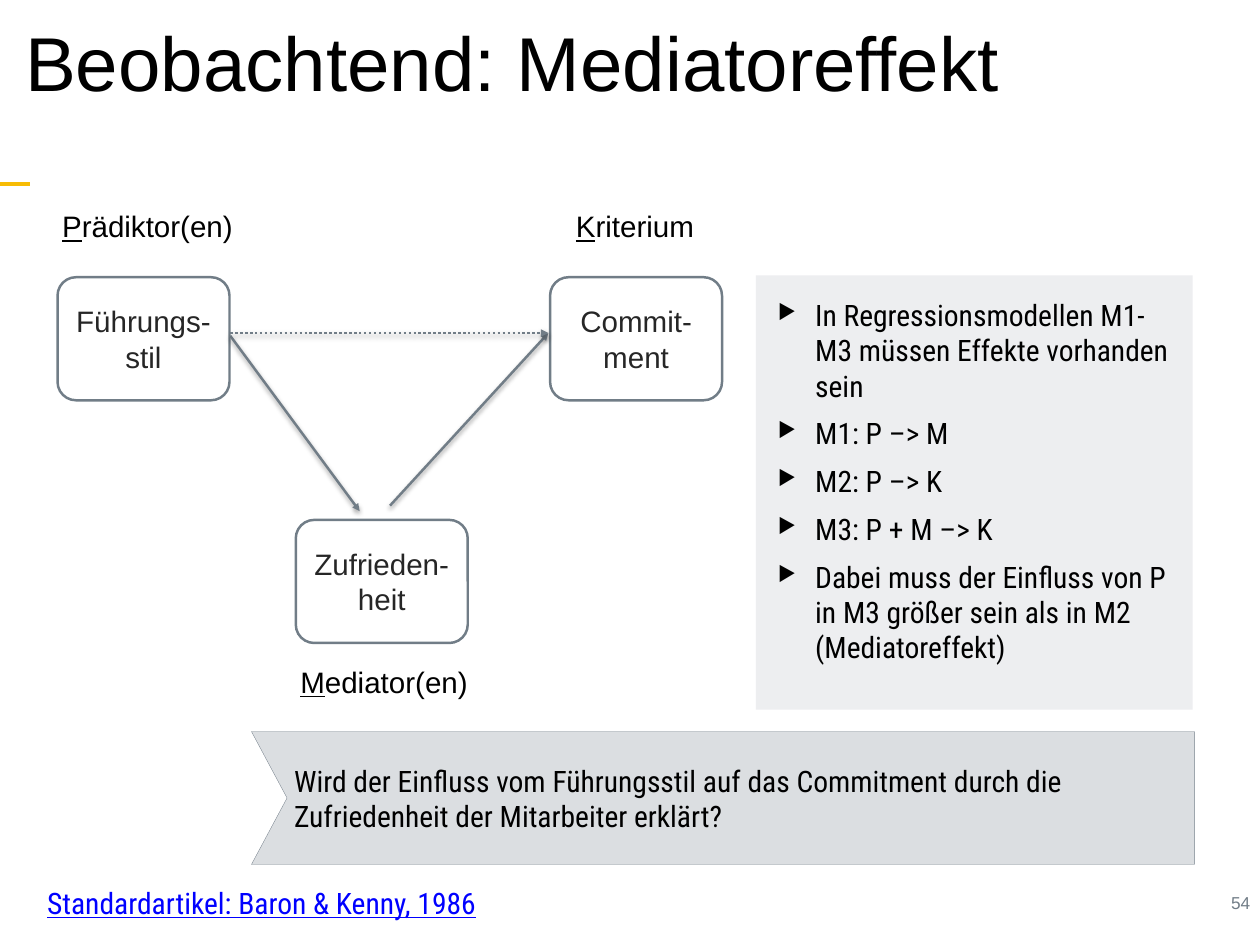
from dataclasses import dataclass

from lxml import etree
from pptx import Presentation
from pptx.dml.color import RGBColor
from pptx.enum.dml import MSO_LINE
from pptx.enum.shapes import MSO_CONNECTOR, MSO_SHAPE
from pptx.enum.text import MSO_ANCHOR, PP_ALIGN
from pptx.oxml import parse_xml
from pptx.oxml.ns import nsdecls, qn
from pptx.util import Cm, Pt

LEFT, CENTER, RIGHT = PP_ALIGN.LEFT, PP_ALIGN.CENTER, PP_ALIGN.RIGHT
TOP, MIDDLE = MSO_ANCHOR.TOP, MSO_ANCHOR.MIDDLE
STRAIGHT, DOTTED = MSO_CONNECTOR.STRAIGHT, MSO_LINE.ROUND_DOT
RECTANGLE, ROUNDED = MSO_SHAPE.RECTANGLE, MSO_SHAPE.ROUNDED_RECTANGLE


@dataclass(frozen=True)
class Theme:
    sans: str = "Arial"
    condensed: str = "Roboto Condensed"
    title_size: int = 62
    body_size: int = 24
    number_size: int = 14
    black: str = "000000"
    node_text: str = "262626"
    white: str = "FFFFFF"
    grey: str = "717D87"
    panel: str = "EDEEF0"
    banner: str = "DBDEE1"
    accent: str = "F7BC05"
    link: str = "0000FF"


@dataclass(frozen=True)
class Box:
    """Left, top, width and height in centimetres."""
    left: float
    top: float
    width: float
    height: float

    def inner(self, x, y, width, height):
        return Box(self.left + x, self.top + y, width, height)

    def lengths(self):
        return Cm(self.left), Cm(self.top), Cm(self.width), Cm(self.height)


THEME = Theme()
INSET = 0.18
NODE_WIDTH, NODE_HEIGHT = 4.93, 3.53
LABEL_HEIGHT = 1.32


def color(value):
    return RGBColor.from_string(value)


def style_font(font, name, size, value):
    font.name, font.size = name, Pt(size)
    font.color.rgb = color(value)


def set_frame(frame, anchor=TOP, inset=INSET, wrap=True):
    frame.word_wrap, frame.vertical_anchor = wrap, anchor
    frame.margin_left = frame.margin_right = Cm(inset)
    frame.margin_top = frame.margin_bottom = Cm(inset)


def write_para(para, text, name, size, value, align=LEFT):
    para.text, para.alignment = text, align
    for span in para.runs:
        style_font(span.font, name, size, value)


def add_text(page, box, text, name, size, value, align=LEFT, **frame_options):
    frame = page.shapes.add_textbox(*box.lengths()).text_frame
    set_frame(frame, **frame_options)
    write_para(frame.paragraphs[0], text, name, size, value, align)
    return frame


def add_line(page, start, end, value, width):
    line = page.shapes.add_connector(STRAIGHT, *map(Cm, start + end))
    line.line.color.rgb, line.line.width = color(value), Pt(width)
    effects = etree.SubElement(line._element.spPr, qn("a:effectLst"))
    return line, effects


def add_arrow(page, start, end, dotted=False):
    arrow, effects = add_line(page, start, end, THEME.grey, 2)
    if dotted:
        arrow.line.dash_style = DOTTED
    outline = arrow._element.spPr.find(qn("a:ln"))
    etree.SubElement(outline, qn("a:tailEnd"), type="triangle")
    effects.append(parse_xml(
        f'<a:outerShdw {nsdecls("a")} blurRad="{Pt(4)}" dist="{Pt(2)}" dir="5400000" '
        'rotWithShape="0"><a:srgbClr val="000000"><a:alpha val="38000"/></a:srgbClr>'
        '</a:outerShdw>'))


def add_header(page, box):
    frame = add_text(page, box, "Beobachtend: Mediatoreffekt", THEME.sans,
                     THEME.title_size, THEME.black, anchor=MIDDLE, inset=0.13)
    frame.margin_left = Cm(0.72)
    frame.paragraphs[0].line_spacing = 0.9
    rule_y = box.top + 5.33
    add_line(page, (box.left, rule_y), (box.left + 0.86, rule_y), THEME.accent, 3)


def add_node(page, box, text):
    node = page.shapes.add_shape(ROUNDED, *box.lengths())
    node.shadow.inherit = False
    node.adjustments[0] = 0.15
    node.fill.solid()
    node.fill.fore_color.rgb = color(THEME.white)
    node.line.color.rgb, node.line.width = color(THEME.grey), Pt(2)
    set_frame(node.text_frame, anchor=MIDDLE)
    write_para(node.text_frame.paragraphs[0], text, THEME.sans,
               THEME.body_size, THEME.node_text, CENTER)


def add_label(page, box, text):
    """Role name with its first letter underlined."""
    frame = add_text(page, box, text[0], THEME.sans, THEME.body_size,
                     THEME.black, wrap=False)
    para = frame.paragraphs[0]
    para.runs[0].font.underline = True
    span = para.add_run()
    span.text = text[1:]
    style_font(span.font, THEME.sans, THEME.body_size, THEME.black)


def add_diagram(page, box):
    # Nodes: text, offset in the diagram, label, label offset from the node
    above, below = -2.16, NODE_HEIGHT + 0.41
    nodes = [
        ("Führungs-\vstil", 0, 2.16, "Prädiktor(en)", -0.05, above, 5.28),
        ("Commit-\vment", 14.12, 2.16, "Kriterium", 0.56, above, 3.78),
        ("Zufrieden-\vheit", 6.83, 9.12, "Mediator(en)", -0.05, below, 5.21),
    ]
    for text, x, y, label, label_x, label_y, label_width in nodes:
        node_box = box.inner(x, y, NODE_WIDTH, NODE_HEIGHT)
        add_node(page, node_box, text)
        add_label(page, node_box.inner(label_x, label_y, label_width, LABEL_HEIGHT), label)

    # Indirect path by way of the mediator, then the dotted direct path
    arrows = [
        ((4.95, 3.84), (8.66, 8.87), False),
        ((9.53, 8.71), (14.07, 3.76), False),
        ((4.95, 3.76), (14.07, 3.76), True),
    ]
    for start, end, dotted in arrows:
        points = [(box.left + x, box.top + y) for x, y in (start, end)]
        add_arrow(page, *points, dotted)


def add_bullet(para):
    props = para._p.get_or_add_pPr()
    props.set("marL", str(Cm(1.07)))
    props.set("indent", str(-Cm(1.07)))
    etree.SubElement(props, qn("a:buSzPct"), val="70000")
    etree.SubElement(props, qn("a:buChar"), char="▶")


def add_panel(page, box):
    panel = page.shapes.add_shape(RECTANGLE, *box.lengths())
    panel.shadow.inherit = False
    panel.fill.solid()
    panel.fill.fore_color.rgb = color(THEME.panel)
    panel.line.fill.background()

    items = [
        "In Regressionsmodellen M1-M3 müssen Effekte vorhanden sein",
        "M1: P –> M",
        "M2: P –> K",
        "M3: P + M –> K",
        "Dabei muss der Einfluss von P in M3 größer sein als in M2 (Mediatoreffekt)",
    ]
    text_box = box.inner(0.45, 0.43, box.width - 0.61, box.height - 0.43)
    frame = page.shapes.add_textbox(*text_box.lengths()).text_frame
    set_frame(frame)
    for index, item in enumerate(items):
        para = frame.add_paragraph() if index else frame.paragraphs[0]
        write_para(para, item, THEME.condensed, THEME.body_size, THEME.black)
        para.space_before = Pt(10)
        add_bullet(para)


def add_banner(page, box):
    right, bottom = box.left + box.width, box.top + box.height
    notch = (box.left + 1.02, box.top + box.height / 2)
    corners = [(right, box.top), (right, bottom), (box.left, bottom), notch]
    builder = page.shapes.build_freeform(Cm(box.left), Cm(box.top))
    builder.add_line_segments([(Cm(x), Cm(y)) for x, y in corners], close=True)
    banner = builder.convert_to_shape()
    banner.shadow.inherit = False
    banner.fill.solid()
    banner.fill.fore_color.rgb = color(THEME.banner)
    banner.line.color.rgb, banner.line.width = color(THEME.grey), Pt(0.25)
    add_text(page, box.inner(1.22, 0.43, box.width - 1.43, box.height - 0.86),
             "Wird der Einfluss vom Führungsstil auf das Commitment durch die "
             "Zufriedenheit der Mitarbeiter erklärt?",
             THEME.condensed, THEME.body_size, THEME.black, anchor=MIDDLE, inset=0)


def add_footer(page, box):
    frame = add_text(page, box.inner(0, 0, 12.67, box.height),
                     "Standardartikel: Baron & Kenny, 1986",
                     THEME.condensed, THEME.body_size, THEME.link, wrap=False)
    frame.paragraphs[0].runs[0].font.underline = True
    add_text(page, box.inner(box.width - 6.02, 0.2, 6.02, 0.91), "54",
             THEME.sans, THEME.number_size, THEME.grey, RIGHT)


def main():
    deck = Presentation()
    deck.slide_width, deck.slide_height = Cm(36.12), Cm(27.1)
    page = deck.slides.add_slide(deck.slide_layouts[6])
    add_header(page, Box(0, -0.05, 36.12, 3.94))
    add_banner(page, Box(7.21, 20.98, 27.03, 3.81))
    add_panel(page, Box(21.67, 7.9, 12.52, 12.45))
    add_diagram(page, Box(1.65, 5.79, 19.05, 14.38))
    add_footer(page, Box(1.17, 25.2, 34.85, 1.35))
    deck.save("out.pptx")


if __name__ == "__main__":
    main()
